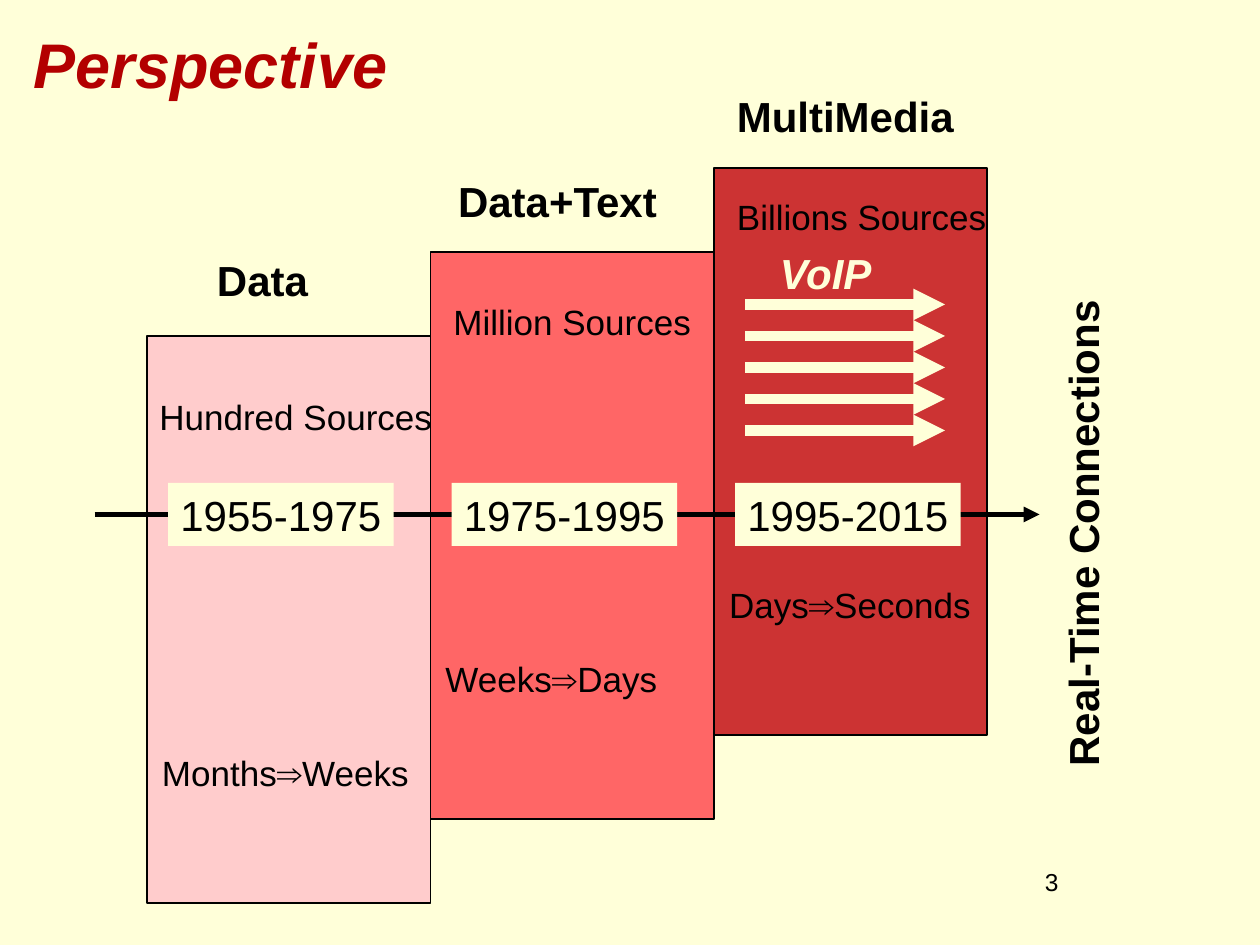
from lxml import etree
from pptx import Presentation
from pptx.dml.color import RGBColor
from pptx.enum import shapes, text
from pptx.oxml.ns import qn
from pptx.util import Pt

CREAM, BLACK, TITLE_RED = "FFFFD9", "000000", "B30000"
TITLE = "Perspective"
PAGE = "3"
ERAS = [
    dict(years="1955-1975", fill="FFCCCC", width=162,
         heading=("Data", 116, 142, 68),
         sources=("Hundred Sources", 84, 222.5, 172),
         delay=("Months⇒Weeks", 85.5, 426, 158)),
    dict(years="1975-1995", fill="FF6666", width=162,
         heading=("Data+Text", 252.5, 96.5, 132),
         sources=("Million Sources", 252, 168, 152),
         delay=("Weeks⇒Days", 247.5, 372, 138)),
    dict(years="1995-2015", fill="CC3333", width=156,
         heading=("MultiMedia", 413, 48, 140),
         sources=("Billions Sources", 414, 108, 159),
         delay=("Days⇒Seconds", 409.5, 330, 156)),
]
ERA_LEFT, ERA_TOP, ERA_STEP, ERA_RISE, ERA_HEIGHT = 84, 192, 162, 48, 324
VOIP_ARROWS, VOIP_TOP, VOIP_GAP = 5, 174, 18


def color(value):
    return RGBColor.from_string(value)


def style(tf, content, size, value=BLACK, bold=False, italic=False,
          align=text.PP_ALIGN.LEFT):
    p = tf.paragraphs[0]
    p.text = content
    p.alignment = align
    p.font.name = "Arial"
    p.font.size = Pt(size)
    p.font.bold = bold
    p.font.italic = italic
    p.font.color.rgb = color(value)


def fit_one_line(tf):
    tf.word_wrap = False
    tf.auto_size = text.MSO_AUTO_SIZE.SHAPE_TO_FIT_TEXT
    tf.vertical_anchor = text.MSO_ANCHOR.TOP


def add_rect(s, left, top, width, height, fill, outlined=False):
    sp = s.shapes.add_shape(shapes.MSO_SHAPE.RECTANGLE,
                            Pt(left), Pt(top), Pt(width), Pt(height))
    sp.shadow.inherit = False
    sp.fill.solid()
    sp.fill.fore_color.rgb = color(fill)
    if outlined:
        sp.line.color.rgb = color(BLACK)
        sp.line.width = Pt(0.75)
    else:
        sp.line.fill.background()
    return sp


def add_label(s, content, left, top, width, size, **font):
    height = 36 if size == 24 else 31.5
    sp = s.shapes.add_textbox(Pt(left), Pt(top), Pt(width), Pt(height))
    fit_one_line(sp.text_frame)
    style(sp.text_frame, content, size, **font)
    return sp


def add_arrow(s, left, right, y, width, value):
    c = s.shapes.add_connector(shapes.MSO_CONNECTOR.STRAIGHT,
                               Pt(left), Pt(y), Pt(right), Pt(y))
    c.line.color.rgb = color(value)
    c.line.width = Pt(width)
    etree.SubElement(c.line._get_or_add_ln(), qn("a:tailEnd"), type="triangle")
    etree.SubElement(c._element.spPr, qn("a:effectLst"))


def main():
    prs = Presentation()
    prs.slide_width, prs.slide_height = Pt(720), Pt(540)
    s = prs.slides.add_slide(prs.slide_layouts[5])
    s.background.fill.solid()
    s.background.fill.fore_color.rgb = color(CREAM)

    title = s.shapes.title
    title.left, title.top, title.width, title.height = Pt(12), Pt(12), Pt(612), Pt(48)
    title.text_frame.vertical_anchor = text.MSO_ANCHOR.MIDDLE
    style(title.text_frame, TITLE, 36, TITLE_RED, bold=True, italic=True)

    for i, era in reversed(list(enumerate(ERAS))):
        add_rect(s, ERA_LEFT + i * ERA_STEP, ERA_TOP - i * ERA_RISE,
                 era["width"], ERA_HEIGHT, era["fill"], outlined=True)
    add_arrow(s, 54, 594, 294, 3, BLACK)

    for i, era in enumerate(ERAS):
        sp = add_rect(s, ERA_LEFT + 12 + i * ERA_STEP, 276, 129, 36, CREAM)
        fit_one_line(sp.text_frame)
        style(sp.text_frame, era["years"], 24)
        add_label(s, *era["heading"], 24, bold=True, align=text.PP_ALIGN.CENTER)
        add_label(s, *era["sources"], 20)
        add_label(s, *era["delay"], 20)

    add_label(s, "Real-Time Connections", 478, 286.5, 281, 24, bold=True).rotation = 270

    add_label(s, "VoIP", 438.5, 138, 68, 24, value=CREAM, bold=True, italic=True)
    for i in range(VOIP_ARROWS):
        add_arrow(s, 426, 540, VOIP_TOP + i * VOIP_GAP, 6, CREAM)

    page = add_label(s, PAGE, 462, 492, 150, 14, align=text.PP_ALIGN.RIGHT)
    page.text_frame.word_wrap = True
    page.text_frame.auto_size = text.MSO_AUTO_SIZE.NONE
    prs.save("out.pptx")


if __name__ == "__main__":
    main()
